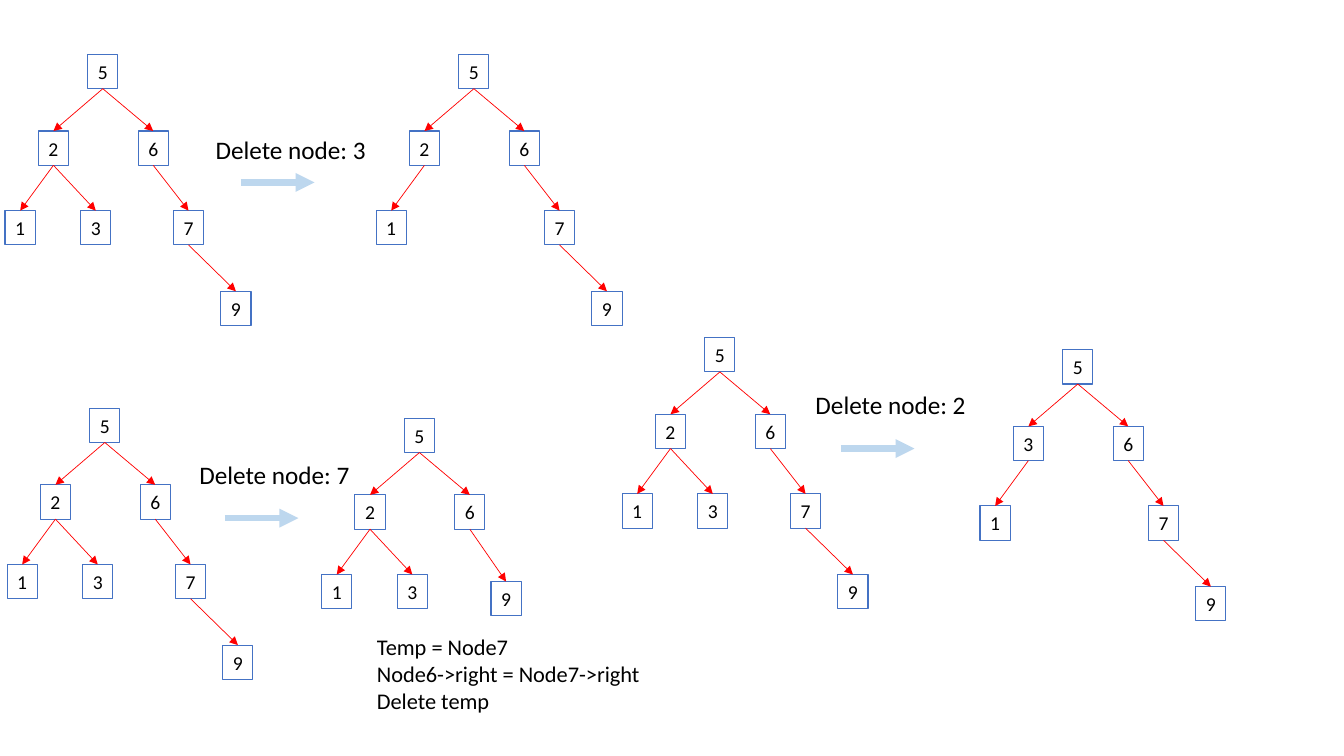
from lxml.etree import SubElement
from pptx import Presentation
from pptx.dml.color import RGBColor
from pptx.enum.shapes import MSO_CONNECTOR, MSO_SHAPE
from pptx.enum.text import MSO_ANCHOR, MSO_AUTO_SIZE, PP_ALIGN
from pptx.oxml.ns import qn
from pptx.util import Inches, Pt

# Offset of each tree place from the root; a place is its path of left/right turns.
OFFSETS = {
    "": (0, 0),
    "L": (-0.49, 0.76), "R": (0.5, 0.76),
    "LL": (-0.82, 1.55), "LR": (-0.07, 1.55), "RR": (0.85, 1.55),
    "RRR": (1.32, 2.35),
}
FULL_TREE = {"": "5", "L": "2", "R": "6", "LL": "1", "LR": "3", "RR": "7", "RRR": "9"}
WITHOUT_3 = {place: key for place, key in FULL_TREE.items() if place != "LR"}
WITHOUT_2 = {**WITHOUT_3, "L": "3"}
WITHOUT_7 = {"": "5", "L": "2", "R": "6", "LL": "1", "LR": "3", "RR": "9"}


def color(hex_string):
    return RGBColor.from_string(hex_string)


class TreeSlide:
    FONT = "Calibri"
    TEXT = "000000"
    NODE_LINE = "4472C4"
    EDGE = "FF0000"
    STEP_ARROW = "BDD7EE"
    NODE_W, NODE_H = 0.3, 0.34

    def __init__(self, prs):
        self.slide = prs.slides.add_slide(prs.slide_layouts[6])

    def fill_text(self, sp, lines, size, align=PP_ALIGN.LEFT):
        tf = sp.text_frame
        tf.word_wrap = False
        tf.auto_size = MSO_AUTO_SIZE.SHAPE_TO_FIT_TEXT
        for i, line in enumerate(lines):
            p = tf.add_paragraph() if i else tf.paragraphs[0]
            p.alignment = align
            r = p.add_run()
            r.text = line
            r.font.name = self.FONT
            r.font.size = Pt(size)
            r.font.color.rgb = color(self.TEXT)

    def text(self, x, y, w, h, lines, size):
        sp = self.slide.shapes.add_textbox(Inches(x), Inches(y), Inches(w), Inches(h))
        self.fill_text(sp, lines, size)

    def node(self, x, y, key):
        sp = self.slide.shapes.add_shape(
            MSO_SHAPE.RECTANGLE, Inches(x), Inches(y),
            Inches(self.NODE_W), Inches(self.NODE_H))
        sp.shadow.inherit = False
        sp.fill.background()
        sp.line.color.rgb = color(self.NODE_LINE)
        sp.line.width = Pt(0.75)
        sp.text_frame.vertical_anchor = MSO_ANCHOR.MIDDLE
        self.fill_text(sp, [key], 14, PP_ALIGN.CENTER)
        return sp

    def arrow(self, x1, y1, x2, y2, hex_string, width):
        line = self.slide.shapes.add_connector(
            MSO_CONNECTOR.STRAIGHT, Inches(x1), Inches(y1), Inches(x2), Inches(y2))
        line.line.color.rgb = color(hex_string)
        line.line.width = Pt(width)
        sp_pr = line.element.spPr
        SubElement(sp_pr.find(qn("a:ln")), qn("a:tailEnd"), type="triangle")
        SubElement(sp_pr, qn("a:effectLst"))
        return line

    def tree(self, x, y, keys, moved=None):
        """Draw a tree with its root box at x, y; moved overrides place offsets."""
        offsets = {**OFFSETS, **(moved or {})}
        nodes = {}
        for place, key in keys.items():
            dx, dy = offsets[place]
            nodes[place] = self.node(x + dx, y + dy, key)
            if place:
                edge = self.arrow(0, 0, 1, 1, self.EDGE, 0.5)
                edge.begin_connect(nodes[place[:-1]], 2)
                edge.end_connect(nodes[place], 0)

    def step(self, label, label_x, label_y, label_w, arrow_x, arrow_y):
        """Draw the label and the thick arrow between two trees."""
        self.arrow(arrow_x, arrow_y, arrow_x + 0.73, arrow_y, self.STEP_ARROW, 4.5)
        self.text(label_x, label_y, label_w, 0.4, [label], 18)


def main():
    prs = Presentation()
    prs.slide_width, prs.slide_height = Inches(13.33), Inches(7.5)
    s = TreeSlide(prs)

    s.tree(0.87, 0.54, FULL_TREE)
    s.step("Delete node: 3", 2.04, 1.28, 1.71, 2.39, 1.81)
    s.tree(4.55, 0.54, WITHOUT_3)

    s.tree(0.89, 4.05, FULL_TREE)
    s.step("Delete node: 7", 1.88, 4.51, 1.77, 2.23, 5.14)
    s.tree(4.01, 4.15, WITHOUT_7, moved={"RR": (0.86, 1.62)})
    s.text(3.64, 6.23, 2.84, 0.94,
           ["Temp = Node7", "Node6->right = Node7->right", "Delete temp"], 16)

    s.tree(6.99, 3.35, FULL_TREE)
    s.step("Delete node: 2", 7.99, 3.81, 1.77, 8.34, 4.45)
    s.tree(10.54, 3.47, WITHOUT_2)

    prs.save("out.pptx")


if __name__ == "__main__":
    main()
